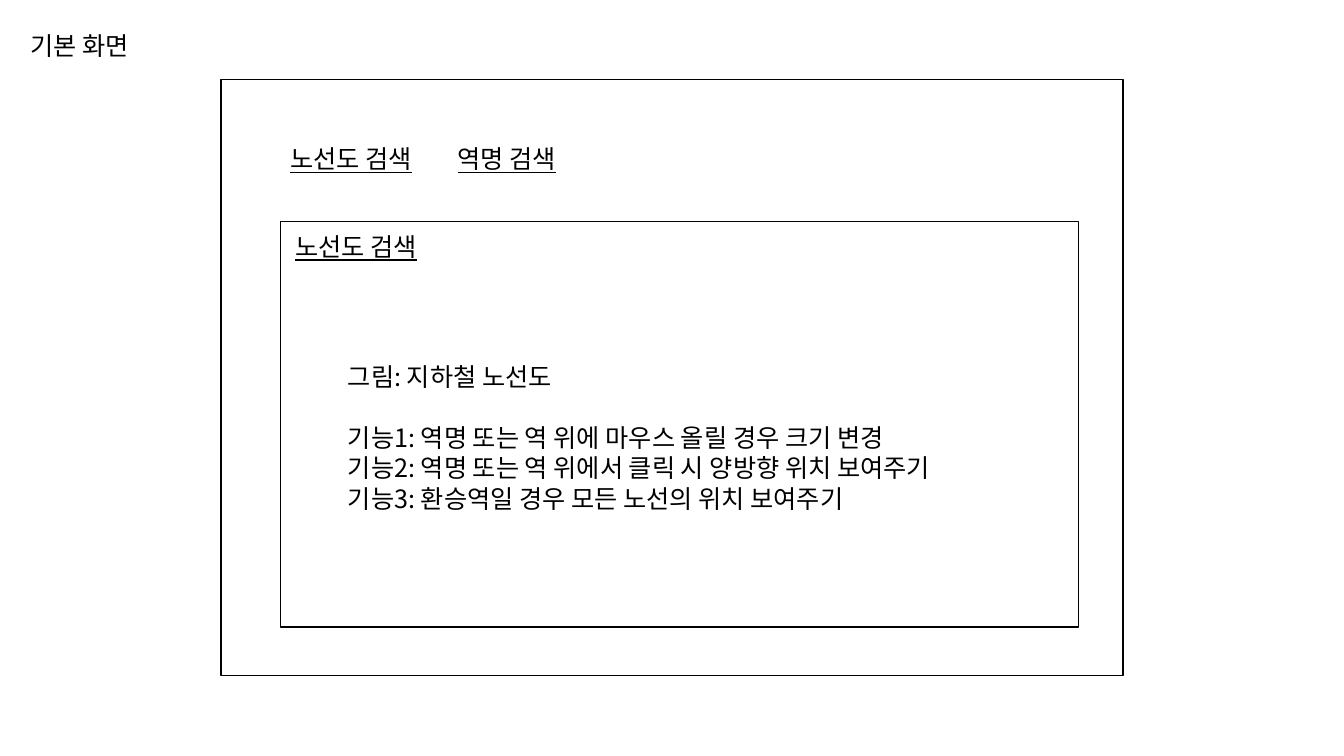
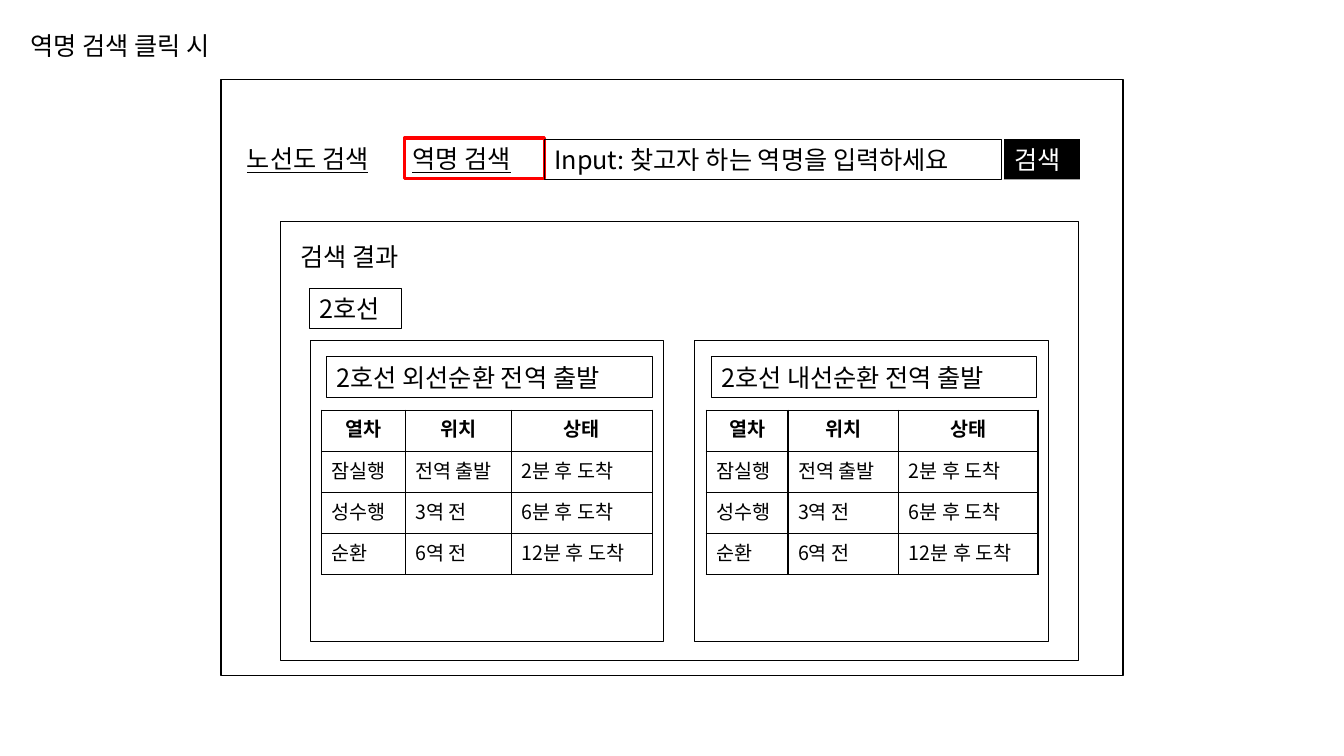
from lxml import etree
from pptx import Presentation
from pptx.dml.color import RGBColor
from pptx.enum.shapes import MSO_SHAPE
from pptx.enum.text import MSO_ANCHOR, MSO_AUTO_SIZE, PP_ALIGN
from pptx.oxml.ns import qn
from pptx.util import Inches, Pt

RECT = MSO_SHAPE.RECTANGLE
TOP, MIDDLE = MSO_ANCHOR.TOP, MSO_ANCHOR.MIDDLE
LEFT, CENTER = PP_ALIGN.LEFT, PP_ALIGN.CENTER
FIXED = MSO_AUTO_SIZE.NONE

BLACK = RGBColor(0, 0, 0)
WHITE = RGBColor(255, 255, 255)
RED = RGBColor(255, 0, 0)
FACE = "Noto Sans CJK KR"

# Boxes are (column, row, columns, rows) on a grid of tenth-inch cells.
CELL = Inches(0.1)
FRAME = (21.9, 7.9, 89.5, 59.1)
BAR = 4  # rows in a one-line text bar
PITCH = 1.21  # line height as a share of the text size

TEXT = {"size": Pt(18), "name": FACE, "bold": False, "underline": False}
LINK = {**TEXT, "underline": True}
SMALL = {**TEXT, "size": Pt(14)}
HEAD = {**SMALL, "bold": True}
FLOW = {"word_wrap": True, "auto_size": FIXED, "vertical_anchor": TOP}

FEATURES = [
    "그림: 지하철 노선도",
    "기능1: 역명 또는 역 위에 마우스 올릴 경우 크기 변경",
    "기능2: 역명 또는 역 위에서 클릭 시 양방향 위치 보여주기",
    "기능3: 환승역일 경우 모든 노선의 위치 보여주기",
]
TRAINS = [
    ("열차", "위치", "상태"),
    ("잠실행", "전역 출발", "2분 후 도착"),
    ("성수행", "3역 전", "6분 후 도착"),
    ("순환", "6역 전", "12분 후 도착"),
]


def inside(box, col, row, cols, rows):
    """Turn a box relative to its parent into one on the slide."""
    return box[0] + col, box[1] + row, cols, rows


def scale(box):
    return [int(n * CELL) for n in box]


def assign(item, values):
    for key, value in values.items():
        setattr(item, key, value)


def write(frame, lines, style=TEXT, color=BLACK, align=LEFT):
    assign(frame, FLOW)
    for i, line in enumerate(lines):
        para = frame.paragraphs[0] if i == 0 else frame.add_paragraph()
        leading = Pt(style["size"].pt * PITCH)
        assign(para, {"alignment": align, "line_spacing": leading,
                      "space_before": Pt(0), "space_after": Pt(0)})
        run = para.add_run()
        run.text = line
        assign(run.font, style)
        run.font.color.rgb = color
        east = etree.SubElement(run.font._element, qn("a:ea"))
        east.set("typeface", FACE)


def fill_in(holder, box, lines):
    """Move a placeholder to the box and write plain lines in it."""
    assign(holder, dict(zip(("left", "top", "width", "height"), scale(box))))
    write(holder.text_frame, lines)
    for para in holder.text_frame.paragraphs:
        props = para._p.get_or_add_pPr()
        props.set("marL", "0")
        props.set("indent", "0")
        etree.SubElement(props, qn("a:buNone"))


def label(slide, box, text, style=TEXT):
    write(slide.shapes.add_textbox(*scale(box)).text_frame, [text], style)


def outline(slide, box, text=None, width=0.75, color=BLACK):
    shape = slide.shapes.add_shape(RECT, *scale(box))
    shape.shadow.inherit = False
    shape.fill.background()
    shape.line.color.rgb = color
    shape.line.width = Pt(width)
    if text:
        write(shape.text_frame, [text])


def button(slide, box, text):
    shape = slide.shapes.add_shape(RECT, *scale(box))
    shape.shadow.inherit = False
    shape.fill.solid()
    shape.fill.fore_color.rgb = BLACK
    shape.line.fill.background()
    write(shape.text_frame, [text], color=WHITE)


def border(cell):
    props = cell._tc.get_or_add_tcPr()
    for i, side in enumerate(("lnL", "lnR", "lnT", "lnB")):
        line = etree.Element(qn("a:" + side), w=str(int(Pt(1))))
        solid = etree.SubElement(line, qn("a:solidFill"))
        etree.SubElement(solid, qn("a:srgbClr"), val=str(BLACK))
        props.insert(i, line)


def grid(slide, box, rows, widths):
    table = slide.shapes.add_table(len(rows), len(widths), *scale(box)).table
    assign(table, {"first_row": False, "horz_banding": False})
    for col, width in zip(table.columns, widths):
        col.width = int(width * CELL)
    for r, row in enumerate(rows):
        table.rows[r].height = int(box[3] * CELL / len(rows))
        for c, text in enumerate(row):
            cell = table.cell(r, c)
            style, align = (HEAD, CENTER) if r == 0 else (SMALL, LEFT)
            write(cell.text_frame, [text], style, align=align)
            cell.vertical_anchor = MIDDLE
            cell.fill.background()
            border(cell)


def base(deck, layout, title, wide, panel, tabs):
    """Add a slide with its title, window, tab links and inner panel."""
    slide = deck.slides.add_slide(deck.slide_layouts[layout])
    fill_in(slide.shapes.title, (2, 2.5, wide, BAR), [title])
    outline(slide, FRAME, width=1)
    for text, col, cols in zip(("노선도 검색", "역명 검색"), tabs, (16.6, 13.9)):
        label(slide, inside(FRAME, col, 5.8, cols, BAR), text, LINK)
    box = inside(FRAME, 5.9, 14.1, 79.2, panel)
    outline(slide, box, width=1)
    return slide, box


def board(slide, box, title, widths):
    """Draw one direction's arrivals."""
    outline(slide, box)
    outline(slide, inside(box, 1.65, 1.6, 32.3, BAR), title)
    grid(slide, inside(box, 1.15, 6.9, sum(widths), 16.3), TRAINS, widths)


def home(deck):
    slide, panel = base(deck, 1, "기본 화면", 13.2, 40.2, (5.9, 22.5))
    label(slide, inside(panel, 0.5, 0.4, 16.6, BAR), "노선도 검색", LINK)
    body = slide.placeholders[1]
    fill_in(body, inside(panel, 5.7, 13.3, 68.6, 16.2), FEATURES)
    body.text_frame.paragraphs[0].space_after = Pt(18 * PITCH)


def search(deck):
    slide, panel = base(deck, 5, "역명 검색 클릭 시", 22.9, 43.5, (1.6, 18))
    outline(slide, inside(FRAME, 18.2, 5.8, 13.9, BAR), width=2.25, color=RED)
    outline(slide, inside(FRAME, 32.1, 5.9, 45.3, BAR),
            "Input: 찾고자 하는 역명을 입력하세요")
    button(slide, inside(FRAME, 77.7, 5.9, 7.5, BAR), "검색")
    label(slide, inside(panel, 1, 1.4, 16.6, BAR), "검색 결과")
    outline(slide, inside(panel, 2.9, 6.6, 9.1, BAR), "2호선")
    boards = (("외선순환", (8.3, 10.5, 14)), ("내선순환", (8.1, 11, 13.8)))
    for i, (way, widths) in enumerate(boards):
        box = inside(panel, 2.95 + 38.15 * i, 11.8, 35.1, 29.8)
        board(slide, box, f"2호선 {way} 전역 출발", widths)


def main():
    deck = Presentation()
    assign(deck, {"slide_width": Inches(13.33), "slide_height": Inches(7.5)})
    home(deck)
    search(deck)
    deck.save("out.pptx")


if __name__ == "__main__":
    main()
